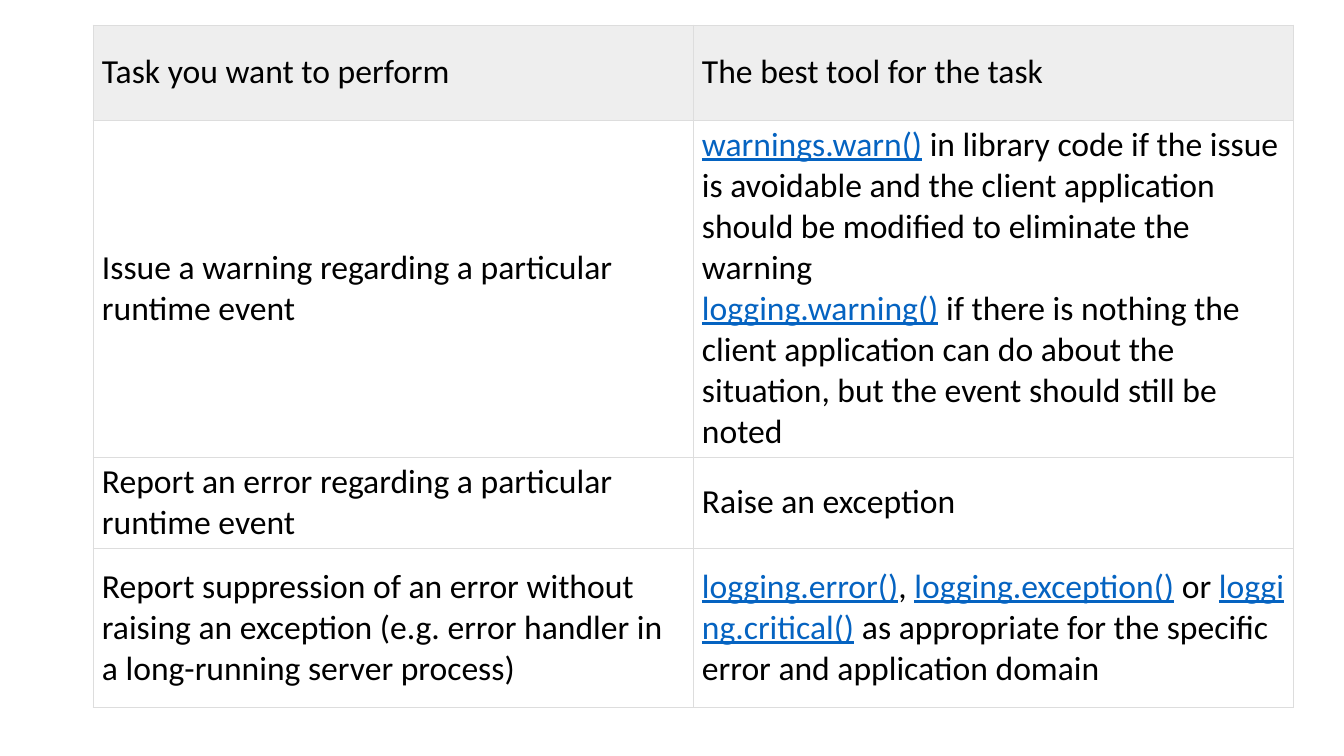
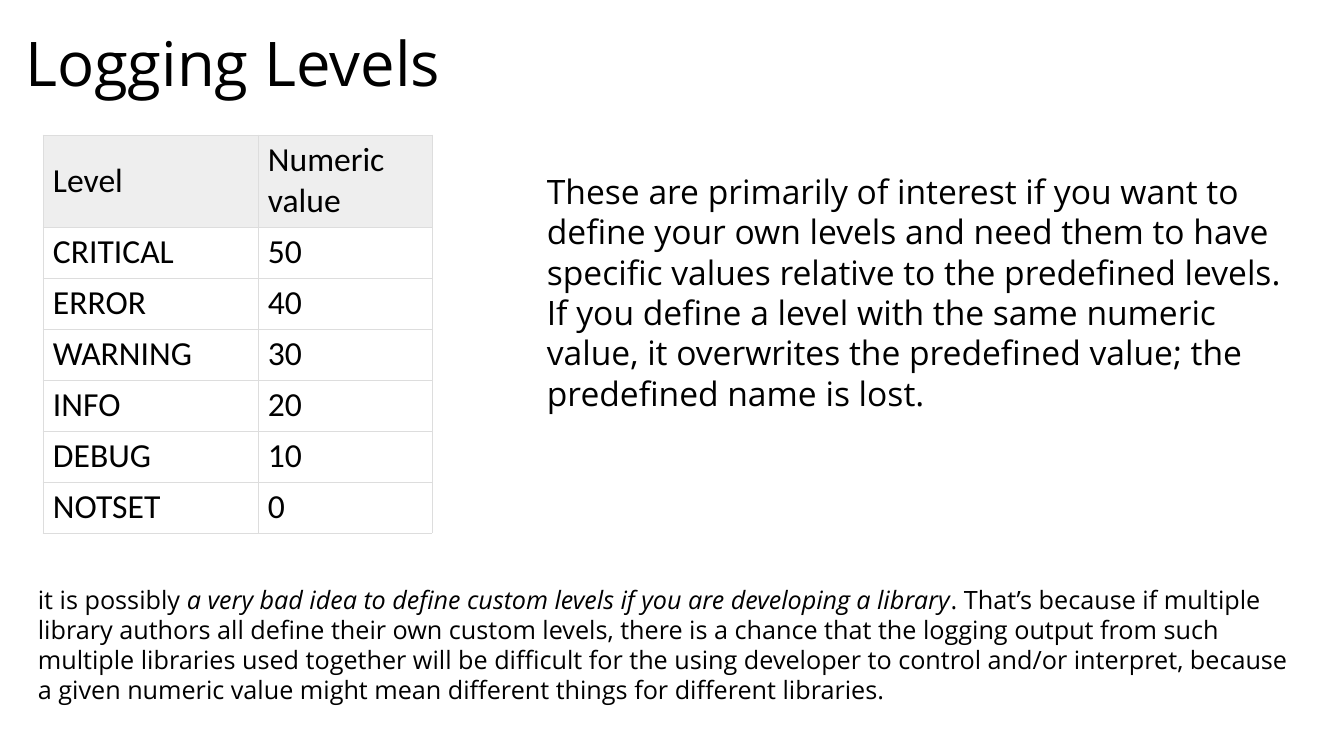
from lxml import etree
from pptx import Presentation
from pptx.dml.color import RGBColor
from pptx.enum.text import MSO_ANCHOR as Anchor, MSO_AUTO_SIZE as AutoSize, PP_ALIGN as Align
from pptx.oxml.ns import qn
from pptx.util import Pt

EMU_PER_INCH = 914400
PX_PER_INCH = 100.8
BLACK = RGBColor(0x00, 0x00, 0x00)
WHITE = RGBColor(0xFF, 0xFF, 0xFF)
HEADER_GREY = RGBColor(0xEE, 0xEE, 0xEE)
BORDER_GREY = RGBColor(0xDD, 0xDD, 0xDD)
LINK_BLUE = RGBColor(0x05, 0x63, 0xC1)
NO_BREAK_SPACE = chr(160)

TITLE_FONT = {"name": "Open Sans", "size": Pt(44), "bold": False}
BODY_FONT = {"name": "Open Sans", "size": Pt(24)}
NOTE_FONT = {"name": "Open Sans", "size": Pt(18)}
TABLE_FONT = {"name": "Calibri", "size": Pt(24)}


def px(length):
    return round(length * EMU_PER_INCH / PX_PER_INCH)


def assign(target, values):
    for name, value in values.items():
        setattr(target, name, value)


def function_name(text):
    return text, {"underline": True}, LINK_BLUE


def emphasis(text):
    return text, {"italic": True}, BLACK


def glue_edges(text):
    """Turn a space at either end of a run into a no-break space."""
    if text.startswith(" "):
        text = NO_BREAK_SPACE + text[1:]
    if text.endswith(" "):
        text = text[:-1] + NO_BREAK_SPACE
    return text


class Deck:
    def __init__(self, width, height):
        self.prs = Presentation()
        assign(self.prs, {"slide_width": px(width), "slide_height": px(height)})
        self.slide = None

    def add_slide(self, layout_name):
        layout = self.prs.slide_layouts.get_by_name(layout_name)
        self.slide = self.prs.slides.add_slide(layout)

    def fill_frame(self, frame, paragraphs, font, **paragraph_format):
        """Set the text; a paragraph is a string or a list of strings and styled runs."""
        for index, content in enumerate(paragraphs):
            paragraph = frame.add_paragraph() if index else frame.paragraphs[0]
            assign(paragraph, paragraph_format)
            for part in [content] if isinstance(content, str) else content:
                text, extra, color = (part, {}, BLACK) if isinstance(part, str) else part
                run = paragraph.add_run()
                run.text = glue_edges(text)
                assign(run.font, {**font, **extra})
                run.font.color.rgb = color

    def title(self, text, left, top, width, height):
        title = self.slide.shapes.title
        assign(title, {"left": px(left), "top": px(top),
                       "width": px(width), "height": px(height)})
        assign(title.text_frame, {"vertical_anchor": Anchor.MIDDLE,
                                  "auto_size": AutoSize.NONE})
        self.fill_frame(title.text_frame, [text], TITLE_FONT,
                        alignment=Align.LEFT, line_spacing=0.9)

    def text(self, paragraphs, left, top, width, height, font):
        box = self.slide.shapes.add_textbox(px(left), px(top), px(width), px(height))
        assign(box.text_frame, {"word_wrap": True,
                                "auto_size": AutoSize.SHAPE_TO_FIT_TEXT})
        self.fill_frame(box.text_frame, paragraphs, font)

    def table(self, rows, left, top, widths, heights, has_header, margins):
        """Draw a grid of cells, each given as a list of paragraphs."""
        table = self.slide.shapes.add_table(
            len(rows), len(widths), px(left), px(top),
            px(sum(widths)), px(sum(heights))).table
        assign(table, {"first_row": False, "horz_banding": False})
        for column, width in zip(table.columns, widths):
            column.width = px(width)
        for row, height in zip(table.rows, heights):
            row.height = px(height)
        side, end = margins
        cell_format = {"vertical_anchor": Anchor.MIDDLE,
                       "margin_left": px(side), "margin_right": px(side),
                       "margin_top": px(end), "margin_bottom": px(end)}
        for row_index, row in enumerate(rows):
            for column_index, paragraphs in enumerate(row):
                cell = table.cell(row_index, column_index)
                assign(cell, cell_format)
                self.border(cell)
                cell.fill.solid()
                is_header = has_header and row_index == 0
                cell.fill.fore_color.rgb = HEADER_GREY if is_header else WHITE
                self.fill_frame(cell.text_frame, paragraphs, TABLE_FONT)

    @staticmethod
    def border(cell):
        properties = cell._tc.get_or_add_tcPr()
        for edge in ("a:lnL", "a:lnR", "a:lnT", "a:lnB"):
            line = etree.SubElement(properties, qn(edge), w=str(Pt(0.75)))
            fill = etree.SubElement(line, qn("a:solidFill"))
            etree.SubElement(fill, qn("a:srgbClr"), val=str(BORDER_GREY))


def add_tool_choice(deck):
    deck.add_slide("Blank")
    left, top, header_height = 93, 25, 95
    widths, margins = [600, 600], (9, 4)
    tasks = [
        [["Issue a warning regarding a particular runtime event"],
         [[function_name("warnings.warn()"),
           " in library code if the issue is avoidable and the client application "
           "should be modified to eliminate the warning"],
          [function_name("logging.warning()"),
           " if there is nothing the client application can do about the situation, "
           "but the event should still be noted"]]],
        [["Report an error regarding a particular runtime event"],
         ["Raise an exception"]],
        [["Report suppression of an error without raising an exception "
          "(e.g. error handler in a long-running server process)"],
         [[function_name("logging.error()"), ", ",
           function_name("logging.exception()"), " or ",
           function_name("logging.critical()"),
           " as appropriate for the specific error and application domain"]]],
    ]
    deck.table(tasks, left, top + header_height, widths, [337, 91, 160], False, margins)
    headings = [[["Task you want to perform"], ["The best tool for the task"]]]
    deck.table(headings, left, top, widths, [header_height], True, margins)


def add_logging_levels(deck):
    deck.add_slide("Title Only")
    deck.title("Logging Levels", 15, 18, 1159, 98)
    names = ["CRITICAL", "ERROR", "WARNING", "INFO", "DEBUG", "NOTSET"]
    levels = [[[name], [str(value)]] for name, value in zip(names, range(50, -1, -10))]
    deck.table([[["Level"], ["Numeric value"]]] + levels, 43, 135, [215, 174],
               [92] + [51] * len(levels), True, (10, 5))
    deck.text(["These are primarily of interest if you want to define your own levels "
               "and need them to have specific values relative to the predefined levels.",
               "If you define a level with the same numeric value, it overwrites the "
               "predefined value; the predefined name is lost."],
              537, 166, 763, 295, BODY_FONT)
    deck.text([["it is possibly ",
                emphasis("a very bad idea to define custom levels if you are "
                         "developing a library"),
                ". That’s because if multiple library authors all define their own "
                "custom levels, there is a chance that the logging output from such "
                "multiple libraries used together will be difficult for the using "
                "developer to control and/or interpret, because a given numeric value "
                "might mean different things for different libraries."]],
              28, 579, 1288, 132, NOTE_FONT)


def main():
    deck = Deck(1344, 756)
    add_tool_choice(deck)
    add_logging_levels(deck)
    deck.prs.save("out.pptx")


if __name__ == "__main__":
    main()
